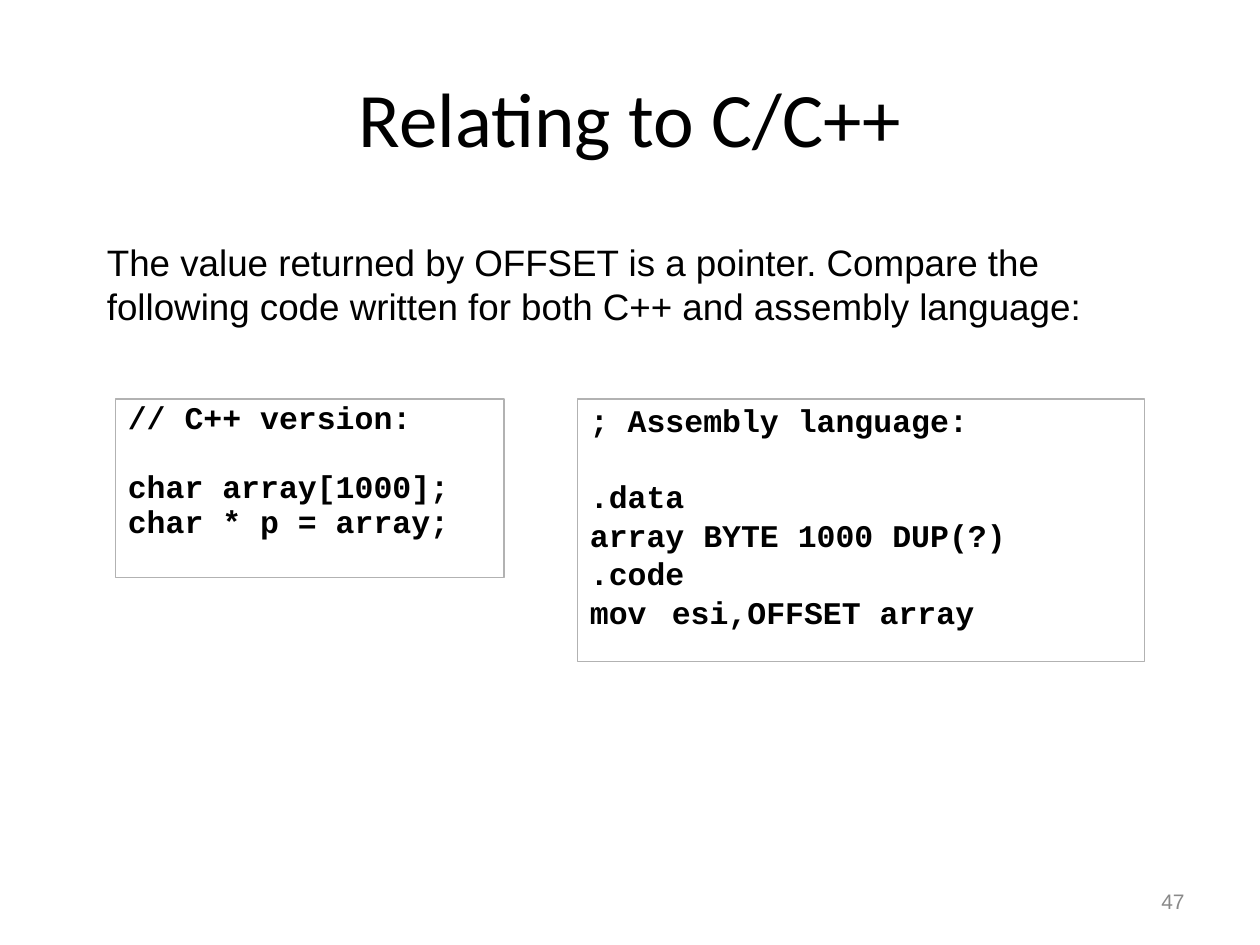
import pptx
import pptx.util
import pptx.dml.color
import pptx.enum.shapes
import pptx.enum.text
import lxml.etree
import pptx.oxml.ns

Pt = pptx.util.Pt
Inches = pptx.util.Inches
Align = pptx.enum.text.PP_ALIGN
Anchor = pptx.enum.text.MSO_ANCHOR
COLORS = {"ink": "000000", "frame": "B2B2B2", "number": "898989"}
CELL = Inches(1) / 12  # the slide is a grid of 120 columns and 90 rows

deck = pptx.Presentation()
deck.slide_width = Inches(10)
deck.slide_height = Inches(7.5)
slide = deck.slides.add_slide(deck.slide_layouts[6])


def color(name):
    return pptx.dml.color.RGBColor.from_string(COLORS[name])


def add_run(para, text, size, face, ink="ink", bold=False):
    run = para.add_run()
    run.text = text
    run.font.size = Pt(size)
    run.font.name = face
    run.font.bold = bold
    run.font.color.rgb = color(ink)


# Title, page number and lead text: place, inset, anchor, alignment, run
labels = [
    ((6, 3.6, 108, 15), 0.05, Anchor.MIDDLE, Align.CENTER,
     ("Relating to C/C++", 44, "Calibri")),
    ((86, 83.4, 28, 4.8), 0.05, Anchor.MIDDLE, Align.RIGHT,
     ("47", 12, "Arial", "number")),
    ((9, 21, 101, 12), 0.15, Anchor.TOP, Align.LEFT,
     ("The value returned by OFFSET is a pointer. Compare the following "
      "code written for both C++ and assembly language:", 21, "Arial")),
]
for place, inset, anchor, align, words in labels:
    box = slide.shapes.add_textbox(*[round(n * CELL) for n in place])
    frame = box.text_frame
    frame.word_wrap = True
    frame.vertical_anchor = anchor
    frame.margin_top = frame.margin_bottom = Inches(inset)
    para = frame.paragraphs[0]
    para.alignment = align
    add_run(para, *words)

# Code panels: place, line spacing, lines; a gap follows the heading
panels = [
    ((11, 38, 37, 17), 0.4,
     ["// C++ version:", "char array[1000];", "char * p = array;"]),
    ((55, 38, 54, 25), 0.5,
     ["; Assembly language:", ".data", "array BYTE 1000 DUP(?)", ".code",
      "mov\t esi,OFFSET array"]),
]
LEAD = 11.2  # space before a code line, in points
FULL = 20.4  # height of a single-spaced code line, in points
for place, pitch, lines in panels:
    panel = slide.shapes.add_shape(
        pptx.enum.shapes.MSO_SHAPE.RECTANGLE,
        *[round(n * CELL) for n in place])
    panel.shadow.inherit = False
    panel.fill.background()
    panel.line.color.rgb = color("frame")
    panel.line.width = Pt(0.75)
    frame = panel.text_frame
    frame.word_wrap = True
    frame.vertical_anchor = Anchor.TOP
    frame.margin_top = Inches(0.15)
    frame.margin_bottom = Inches(0.25)
    gaps = [0, 2 * LEAD + pitch * FULL] + [LEAD] * (len(lines) - 2)
    for row, (line, gap) in enumerate(zip(lines, gaps)):
        para = frame.add_paragraph() if row else frame.paragraphs[0]
        para.alignment = Align.LEFT
        para.line_spacing = pitch
        para.space_before = Pt(gap)
        if "\t" in line:
            props = para._p.get_or_add_pPr()
            tabs = lxml.etree.SubElement(props, pptx.oxml.ns.qn("a:tabLst"))
            lxml.etree.SubElement(tabs, pptx.oxml.ns.qn("a:tab"),
                                  pos=str(Inches(0.5)), algn="l")
        add_run(para, line, 18, "Courier New", bold=True)

deck.save("out.pptx")
